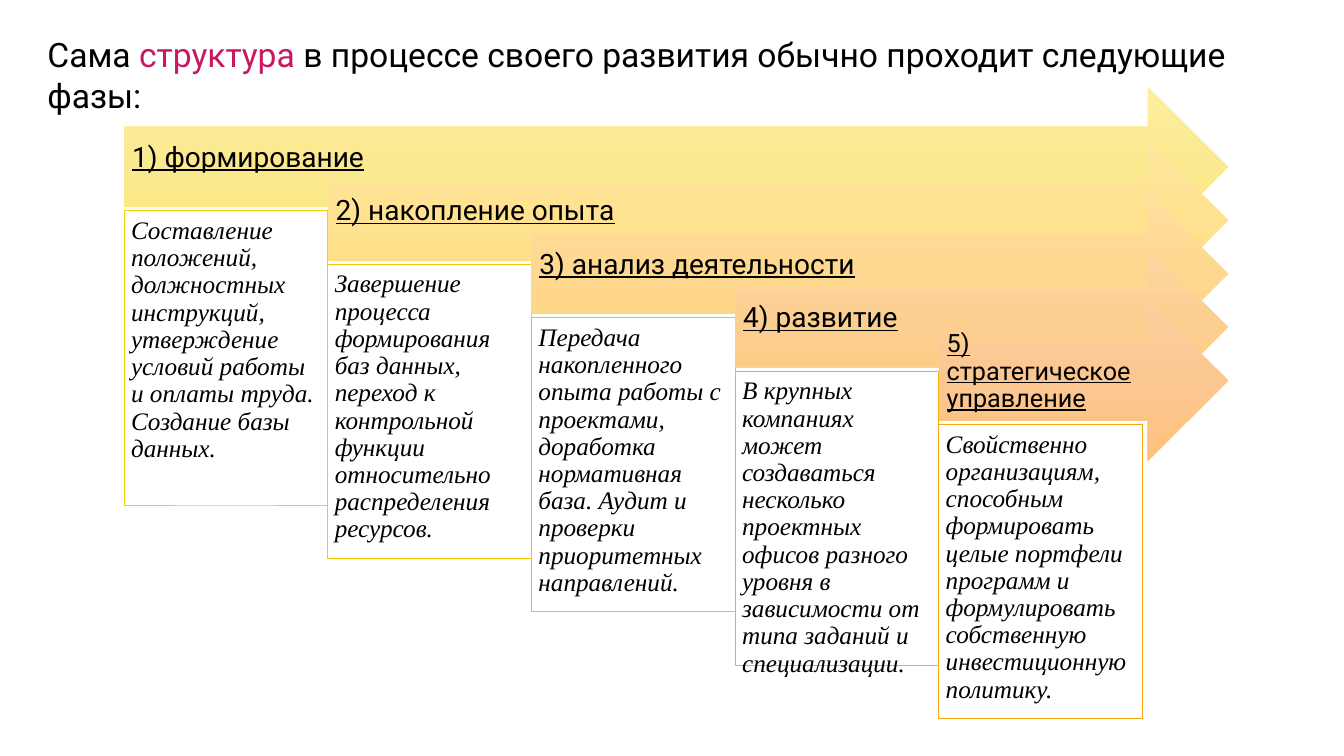
from copy import deepcopy
from dataclasses import dataclass

from pptx import Presentation
from pptx.dml.color import RGBColor
from pptx.enum.shapes import MSO_SHAPE as Shape
from pptx.enum.text import MSO_ANCHOR as Anchor, MSO_AUTO_SIZE as AutoSize, PP_ALIGN as Align
from pptx.oxml.ns import qn
from pptx.util import Inches, Pt

HEADING_FONT = "Roboto"
BODY_FONT = "Times New Roman"
BLACK = "000000"

# Staircase geometry, in inches
FIRST_LEFT, FIRST_TOP = 1.23, 0.86
STEP_X, STEP_Y = 2.02, 0.53
ARROW_RIGHT, ARROW_HEIGHT = 12.18, 1.59
CARD_DROP, CARD_WIDTH, CARD_HEIGHT = 1.23, 2.02, 2.92


@dataclass
class Phase:
    heading: str
    description: str
    gradient: tuple[str, str, str]
    border: str
    heading_size: int = 20


PHASES = [
    Phase("1) формирование",
          "Составление положений, должностных инструкций, утверждение условий "
          "работы и оплаты труда. Создание базы данных.",
          ("FFEE9E", "FBE990", "FBE67C"), "EED500"),
    Phase("2) накопление опыта",
          "Завершение процесса формирования баз данных, переход к контрольной "
          "функции относительно распределения ресурсов.",
          ("FFE69E", "FFE290", "FFDE7C"), "F1CA02"),
    Phase("3) анализ деятельности",
          "Передача накопленного опыта работы с проектами, доработка "
          "нормативная база. Аудит и проверки приоритетных направлений.",
          ("FFDE9E", "FED890", "FFD47C"), "F3BF05"),
    Phase("4) развитие",
          "В крупных компаниях может создаваться несколько проектных офисов "
          "разного уровня в зависимости от типа заданий и специализации.",
          ("FED69E", "FCCF91", "FFCA7C"), "F5B308"),
    Phase("5) стратегическое управление",
          "Свойственно организациям, способным формировать целые портфели "
          "программ и формулировать собственную инвестиционную политику.",
          ("FCCF9F", "FBC791", "FFC17C"), "F5A70D", heading_size=18),
]


def color(hex_value: str) -> RGBColor:
    return RGBColor.from_string(hex_value)


def format_run(run, font_name: str, size: int, hex_value: str = BLACK) -> None:
    run.font.name = font_name
    run.font.size = Pt(size)
    run.font.color.rgb = color(hex_value)


def add_text(shape, text: str, font_name: str, size: int, anchor, insets: tuple):
    """Fill a shape with one left-aligned paragraph and return its run."""
    frame = shape.text_frame
    frame.text = text
    frame.word_wrap = True
    frame.vertical_anchor = anchor
    (frame.margin_left, frame.margin_top,
     frame.margin_right, frame.margin_bottom) = map(Inches, insets)
    paragraph = frame.paragraphs[0]
    paragraph.alignment = Align.LEFT
    paragraph.line_spacing = 0.9
    run = paragraph.runs[0]
    format_run(run, font_name, size)
    return run


def fill_gradient(shape, hex_values: tuple[str, str, str]) -> None:
    """Apply a three-stop gradient running from top to bottom."""
    shape.fill.gradient()
    shape.fill.gradient_angle = 270
    stop_list = next(shape.element.spPr.iter(qn("a:gsLst")))
    stop_list.insert(1, deepcopy(stop_list[0]))
    for stop, position, hex_value in zip(shape.fill.gradient_stops, (0, 0.5, 1), hex_values):
        stop.position = position
        stop.color.rgb = color(hex_value)


def add_title(slide) -> None:
    title = slide.shapes.title
    title.left, title.top, title.width, title.height = map(Inches, (0.37, 0.29, 12.21, 0.9))
    frame = title.text_frame
    frame.word_wrap = True
    frame.auto_size = AutoSize.NONE
    frame.vertical_anchor = Anchor.TOP
    paragraph = frame.paragraphs[0]
    paragraph.alignment = Align.LEFT
    for text, hex_value in (
        ("Сама ", BLACK),
        ("структура", "CA1764"),
        (" в процессе своего развития обычно проходит следующие фазы:", BLACK),
    ):
        run = paragraph.add_run()
        run.text = text
        format_run(run, HEADING_FONT, 24, hex_value)


def add_phase(slide, index: int, phase: Phase) -> None:
    left = FIRST_LEFT + index * STEP_X
    top = FIRST_TOP + index * STEP_Y

    # Arrow with the phase name
    arrow = slide.shapes.add_shape(Shape.RIGHT_ARROW, Inches(left), Inches(top),
                                   Inches(ARROW_RIGHT - left), Inches(ARROW_HEIGHT))
    arrow.shadow.inherit = False
    arrow.line.fill.background()
    fill_gradient(arrow, phase.gradient)
    heading = add_text(arrow, phase.heading, HEADING_FONT, phase.heading_size,
                       Anchor.MIDDLE, (0.08, 0.08, 0.28, 0.25))
    heading.font.underline = True

    # Card with the description
    card = slide.shapes.add_shape(Shape.RECTANGLE, Inches(left), Inches(top + CARD_DROP),
                                  Inches(CARD_WIDTH), Inches(CARD_HEIGHT))
    card.shadow.inherit = False
    card.fill.solid()
    card.fill.fore_color.rgb = color("FFFFFF")
    card.line.color.rgb = color(phase.border)
    card.line.width = Pt(0.5)
    description = add_text(card, phase.description, BODY_FONT, 18,
                           Anchor.TOP, (0.07, 0.07, 0.07, 0.07))
    description.font.italic = True


def main() -> None:
    presentation = Presentation()
    presentation.slide_width, presentation.slide_height = Inches(13.33), Inches(7.5)
    slide = presentation.slides.add_slide(presentation.slide_layouts.get_by_name("Title Only"))
    add_title(slide)
    for index, phase in enumerate(PHASES):
        add_phase(slide, index, phase)
    presentation.save("out.pptx")


if __name__ == "__main__":
    main()
